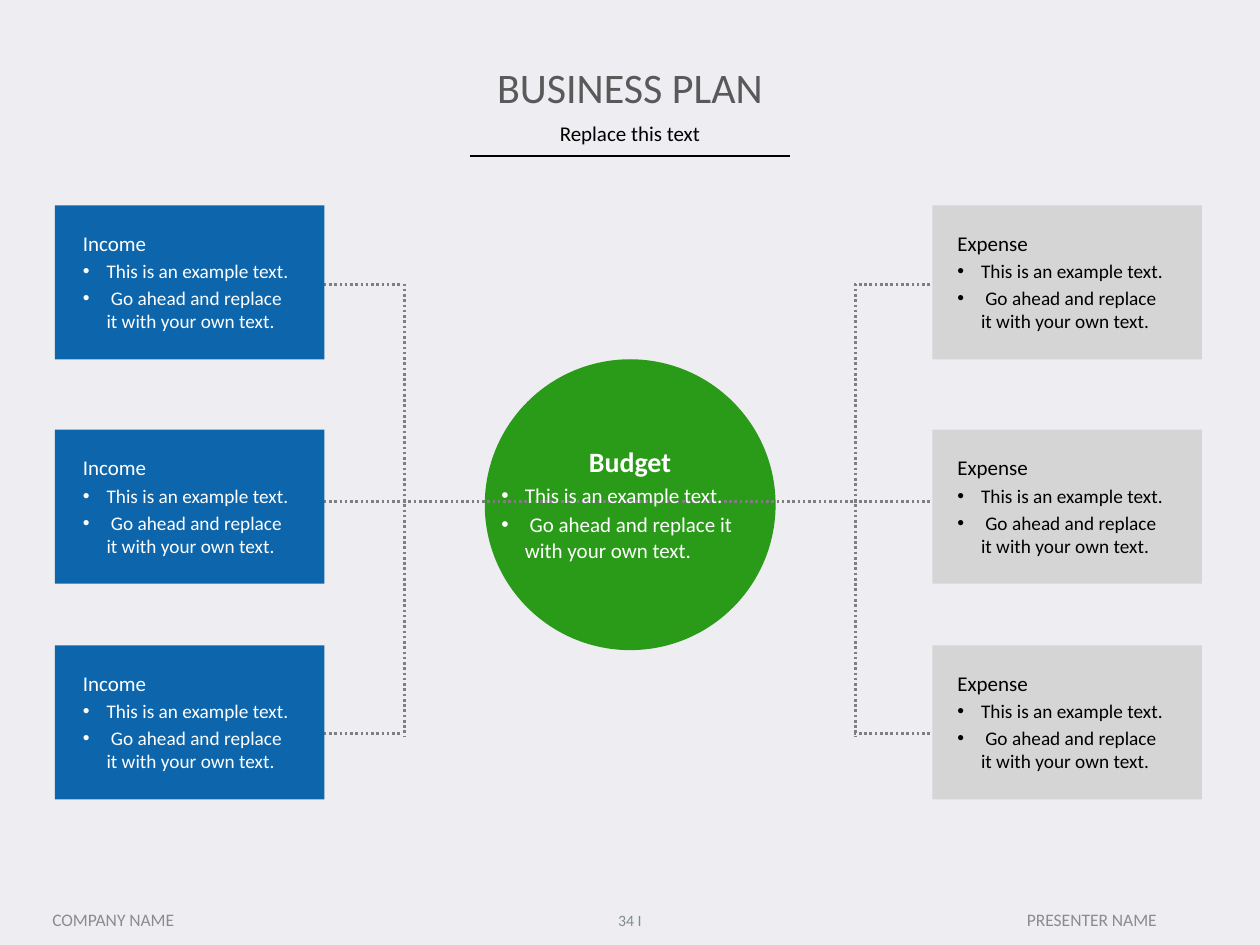
from lxml import etree
from pptx import Presentation
from pptx import util as u
from pptx.dml.color import RGBColor
from pptx.enum import dml, shapes, text
from pptx.oxml.ns import qn

BLUE, GREEN, SILVER = "0D65AC", "2A9B18", "D5D5D5"
WHITE, BLACK, DOTS, FOOTER = "FFFFFF", "000000", "7F7F7F", "8C8C8C"
BULLETS = ["This is an example text.",
           " Go ahead and replace it with your own text."]


def color(value):
    return RGBColor.from_string(value)


class PlanSlide:
    """Holds the style and the current slide; all lengths are points."""

    font_name = "Calibri"
    indent = 13.5

    def __init__(self, deck, background):
        self.page = deck.slides.add_slide(deck.slide_layouts[5])
        fill = self.page.background.fill
        fill.solid()
        fill.fore_color.rgb = color(background)

    def add_span(self, para, words, ink, **formats):
        span = para.add_run()
        span.text = words
        span.font.color.rgb = color(ink)
        for name, value in {"name": self.font_name, **formats}.items():
            setattr(span.font, name, value)

    def title(self, place, words, ink, size):
        box = self.page.shapes.title
        for name, value in zip(("left", "top", "width", "height"), place):
            setattr(box, name, u.Pt(value))
        frame = box.text_frame
        frame.auto_size = text.MSO_AUTO_SIZE.NONE
        frame.vertical_anchor = text.MSO_ANCHOR.MIDDLE
        para = frame.paragraphs[0]
        para.alignment = text.PP_ALIGN.CENTER
        self.add_span(para, words, ink, size=u.Pt(size))

    def frame(self, place, anchor=text.MSO_ANCHOR.TOP):
        frame = self.page.shapes.add_textbox(*map(u.Pt, place)).text_frame
        frame.word_wrap = True
        frame.vertical_anchor = anchor
        return frame

    def label(self, place, words, ink, size,
              anchor=text.MSO_ANCHOR.MIDDLE, spacing=1.0):
        para = self.frame(place, anchor).paragraphs[0]
        para.alignment = text.PP_ALIGN.CENTER
        para.line_spacing = spacing
        self.add_span(para, words, ink, size=u.Pt(size))

    def bullet_list(self, place, heading, ink, size, bullet_size,
                    align=text.PP_ALIGN.LEFT, bold=False):
        frame = self.frame(place)
        para = frame.paragraphs[0]
        para.alignment = align
        self.add_span(para, heading, ink, size=u.Pt(size), bold=bold)
        for words in BULLETS:
            para = frame.add_paragraph()
            props = para._p.get_or_add_pPr()
            props.set("marL", str(u.Pt(self.indent)))
            props.set("indent", str(-u.Pt(self.indent)))
            etree.SubElement(props, qn("a:buFont"), typeface="Arial")
            etree.SubElement(props, qn("a:buChar"), char="•")
            para.space_before = u.Pt(0.2 * bullet_size)
            self.add_span(para, words, ink, size=u.Pt(bullet_size))

    def shape(self, kind, place, fill):
        shape = self.page.shapes.add_shape(kind, *map(u.Pt, place))
        shape.shadow.inherit = False
        shape.fill.solid()
        shape.fill.fore_color.rgb = color(fill)
        shape.line.fill.background()

    def line(self, ends, ink=DOTS, width=1.5, dash=dml.MSO_LINE.ROUND_DOT):
        line = self.page.shapes.add_connector(
            shapes.MSO_CONNECTOR.STRAIGHT, *map(u.Pt, ends))
        line.line.color.rgb = color(ink)
        line.line.width = u.Pt(width)
        line.line.dash_style = dash
        etree.SubElement(line._element.spPr, qn("a:effectLst"))


def main():
    deck = Presentation()
    deck.slide_width, deck.slide_height = u.Pt(720), u.Pt(540)
    plan = PlanSlide(deck, "EEEEF2")

    # Heading
    plan.title((49.7, 31.7, 620.6, 36), "BUSINESS PLAN", "595959", 24)
    plan.label((49.7, 68.4, 620.6, 19.4), "Replace this text", BLACK, 12,
               text.MSO_ANCHOR.TOP, 0.8)
    plan.line((268.6, 89.3, 451.4, 89.3), BLACK, 1, dml.MSO_LINE.SOLID)

    # Circle in the middle, behind the dotted lines
    plan.shape(shapes.MSO_SHAPE.OVAL, (277, 205.3, 166.2, 166.2), GREEN)

    # Dotted brackets: one trunk and three branches a side
    middle = 286.5
    for trunk, start, end in ((231, 185, 229), (488.8, 531.4, 488.2)):
        plan.line((trunk, 162, trunk, 421.2))
        for y in (162.7, middle, 419):
            plan.line((start, y, end, y))
    plan.line((230.4, middle, 489.6, middle))

    # Cards
    sides = [("Income", 31.4, 40.3, BLUE, WHITE),
             ("Expense", 532.8, 540, SILVER, BLACK)]
    for heading, left, text_left, fill, ink in sides:
        for top in (117.4, 245.6, 368.8):
            plan.shape(shapes.MSO_SHAPE.RECTANGLE, (left, top, 154, 88), fill)
            plan.bullet_list((text_left, top + 10.8, 133.2, 67),
                             heading, ink, 12, 11)

    # Circle text
    plan.bullet_list((279.4, 250.6, 161.3, 76.3), "Budget", WHITE, 16, 12,
                     text.PP_ALIGN.CENTER, True)

    # Footer
    plan.label((12.2, 510.5, 105.1, 30.2), "COMPANY NAME", FOOTER, 10)
    plan.label((342, 511.2, 36, 28.8), "34 I", "7F8C8D", 9)
    plan.label((540, 510.5, 167.8, 30.2), "PRESENTER NAME", FOOTER, 10)

    deck.save("out.pptx")


if __name__ == "__main__":
    main()
